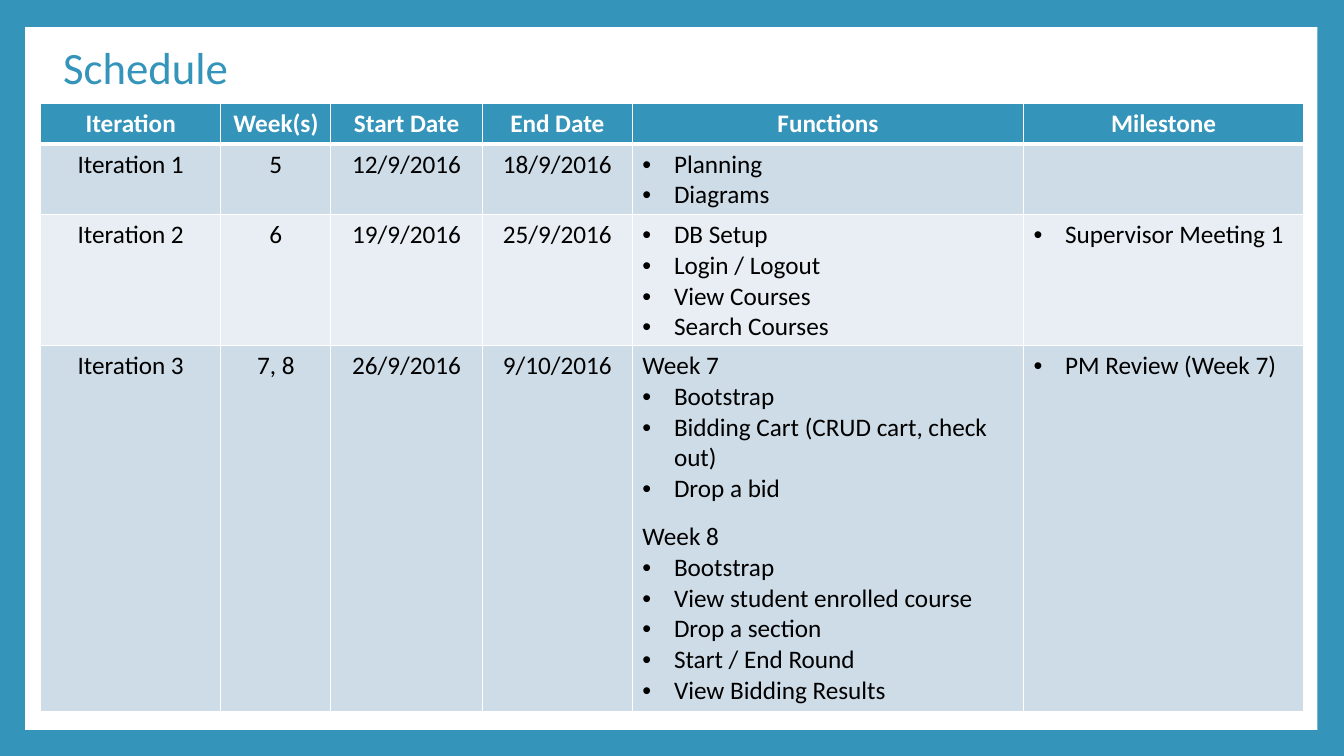
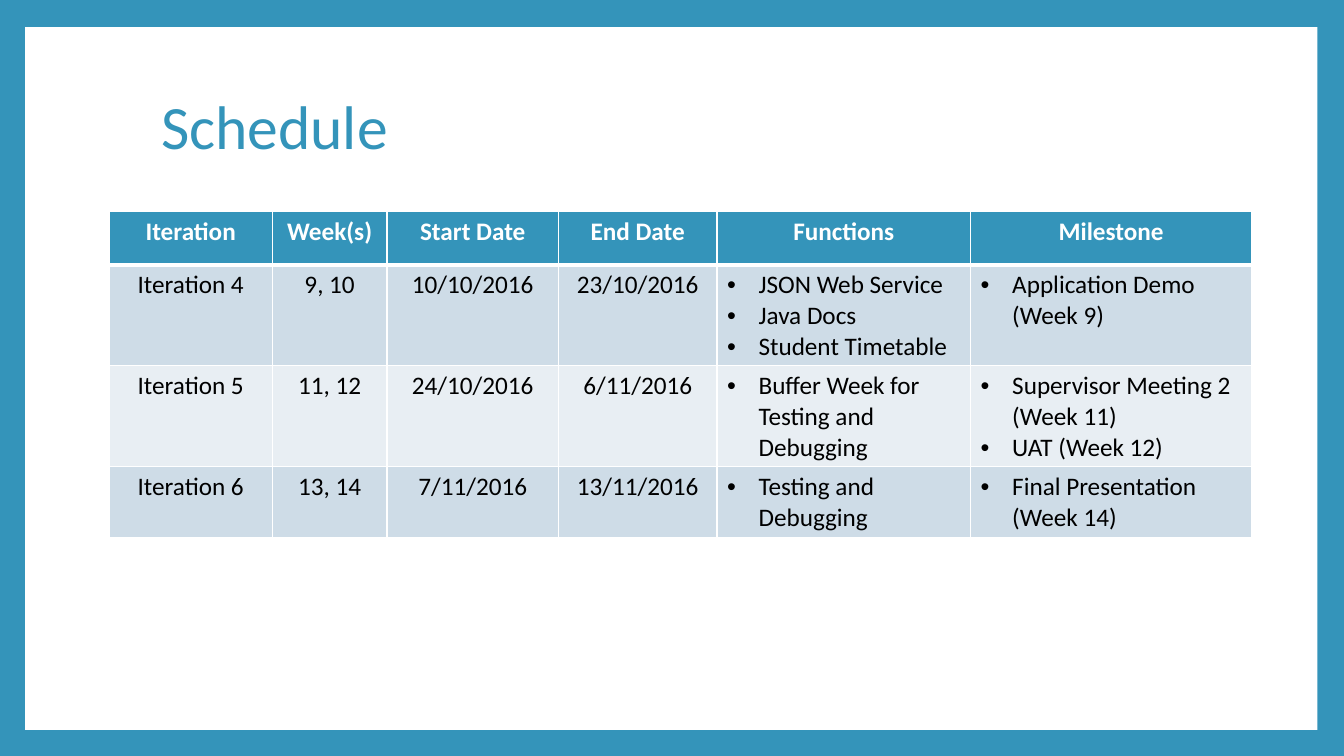
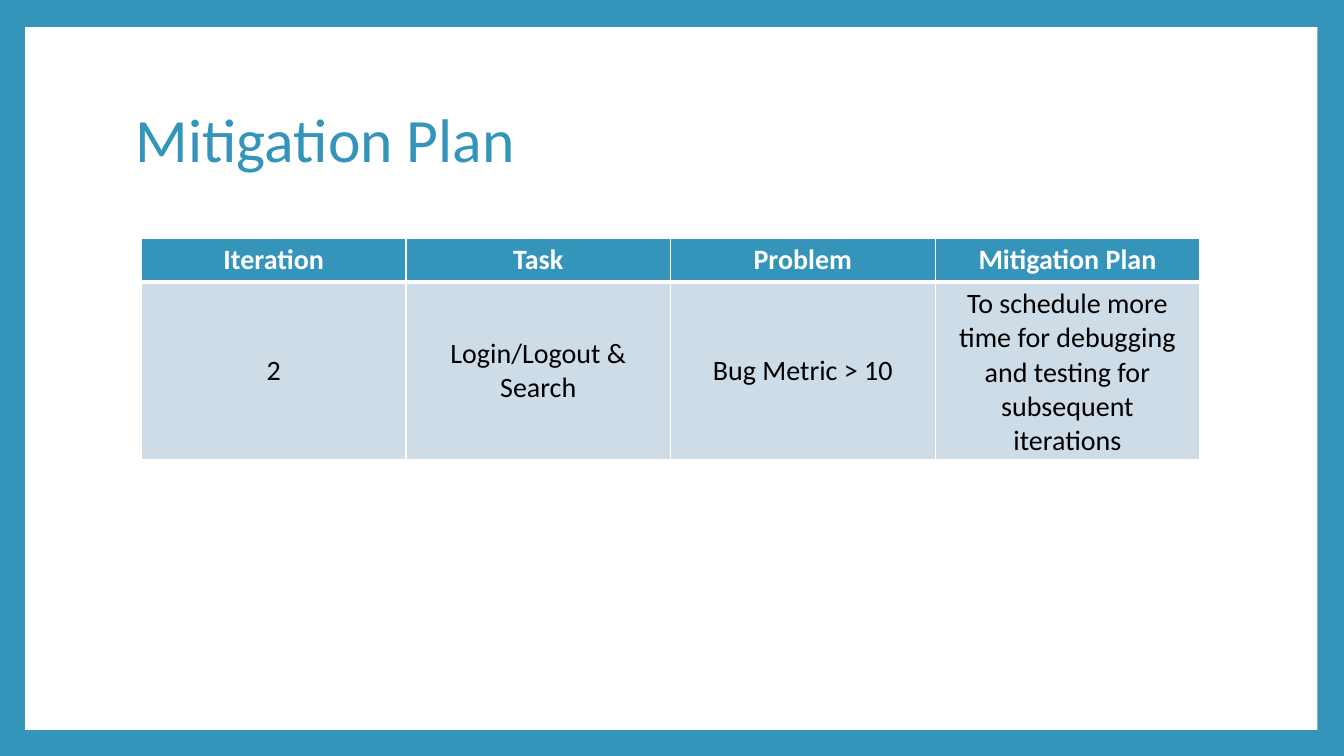
from dataclasses import dataclass

from lxml.etree import SubElement
from pptx import Presentation
from pptx.dml.color import RGBColor
from pptx.enum.shapes import MSO_SHAPE
from pptx.enum.text import MSO_ANCHOR, PP_ALIGN
from pptx.oxml.ns import qn
from pptx.util import Pt


@dataclass(frozen=True)
class Theme:
    font: str = "Calibri"
    blue: str = "3494BA"
    white: str = "FFFFFF"
    black: str = "000000"
    bands: tuple = ("CEDCE7", "E8EEF3")
    small: int = 32
    large: int = 44
    body: int = 18
    roomy: int = 20
    thin: int = 1
    thick: int = 3
    indent: float = 22.5
    gap: float = 12.2


THEME = Theme()
HEADS = ["Iteration", "Week(s)", "Start Date", "End Date", "Functions", "Milestone"]

# Cells: a string is centred, a list is bulleted, a dict maps headings to bullets.
EARLY = [
    HEADS,
    ["Iteration 1", "5", "12/9/2016", "18/9/2016", ["Planning", "Diagrams"], ""],
    ["Iteration 2", "6", "19/9/2016", "25/9/2016",
     ["DB Setup", "Login / Logout", "View Courses", "Search Courses"],
     ["Supervisor Meeting 1"]],
    ["Iteration 3", "7, 8", "26/9/2016", "9/10/2016",
     {"Week 7": ["Bootstrap", "Bidding Cart (CRUD cart, check out)", "Drop a bid"],
      "Week 8": ["Bootstrap", "View student enrolled course", "Drop a section",
                 "Start / End Round", "View Bidding Results"]},
     ["PM Review (Week 7)"]],
]
LATE = [
    HEADS,
    ["Iteration 4", "9, 10", "10/10/2016", "23/10/2016",
     ["JSON Web Service", "Java Docs", "Student Timetable"],
     ["Application Demo (Week 9)"]],
    ["Iteration 5", "11, 12", "24/10/2016", "6/11/2016",
     ["Buffer Week for Testing and Debugging"],
     ["Supervisor Meeting 2 (Week 11)", "UAT (Week 12)"]],
    ["Iteration 6", "13, 14", "7/11/2016", "13/11/2016",
     ["Testing and Debugging"], ["Final Presentation (Week 14)"]],
]
PLAN = [
    ["Iteration", "Task", "Problem", "Mitigation Plan"],
    ["2", "Login/Logout & Search", "Bug Metric > 10",
     "To schedule more time for debugging and testing for subsequent iterations"],
]


def rgb(code):
    return RGBColor.from_string(code)


def style(para, size, color, bold=False):
    font = para.font
    font.name, font.size, font.bold = THEME.font, Pt(size), bold
    font.color.rgb = rgb(color)


def add_slide(deck):
    """Add a blank slide with the white panel inside the blue frame."""
    slide = deck.slides.add_slide(deck.slide_layouts[6])
    panel = slide.shapes.add_shape(
        MSO_SHAPE.RECTANGLE, Pt(18), Pt(19.4), Pt(923), Pt(502))
    panel.shadow.inherit = False
    panel.fill.solid()
    panel.fill.fore_color.rgb = rgb(THEME.white)
    panel.line.fill.background()
    return slide


def add_title(slide, text, box, size):
    frame = slide.shapes.add_textbox(*map(Pt, box)).text_frame
    frame.word_wrap = True
    frame.vertical_anchor = MSO_ANCHOR.MIDDLE
    para = frame.paragraphs[0]
    para.text = text
    para.line_spacing = 0.9
    style(para, size, THEME.blue)


def add_bullet(para):
    props = para._p.get_or_add_pPr()
    props.set("marL", str(Pt(THEME.indent)))
    props.set("indent", str(-Pt(THEME.indent)))
    SubElement(props, qn("a:buFont"), typeface="Arial")
    SubElement(props, qn("a:buChar"), char="•")


def set_edges(cell, row):
    """Draw white cell borders, with a thick rule under the header."""
    widths = dict.fromkeys("LRTB", THEME.thin)
    if row < 2:
        widths["T" if row else "B"] = THEME.thick
    props = cell._tc.get_or_add_tcPr()
    for side, width in widths.items():
        line = SubElement(props, qn(f"a:ln{side}"), w=str(Pt(width)))
        fill = SubElement(line, qn("a:solidFill"))
        SubElement(fill, qn("a:srgbClr"), val=THEME.white)


def list_lines(value):
    """Return (text, kind) pairs for the paragraphs of one cell."""
    if isinstance(value, str):
        return [(value, "plain")]
    if isinstance(value, list):
        return [(item, "bullet") for item in value]
    lines = []
    for head, items in value.items():
        lines += [(head, "head"), *list_lines(items)]
    return lines


def fill_cell(cell, value, row, size, anchor):
    set_edges(cell, row)
    cell.fill.solid()
    shade = THEME.bands[(row - 1) % 2] if row else THEME.blue
    cell.fill.fore_color.rgb = rgb(shade)
    cell.vertical_anchor = anchor
    frame = cell.text_frame
    for i, (text, kind) in enumerate(list_lines(value)):
        para = frame.add_paragraph() if i else frame.paragraphs[0]
        para.text = text
        if kind == "plain":
            para.alignment = PP_ALIGN.CENTER
        elif kind == "bullet":
            add_bullet(para)
        elif i:
            para.space_before = Pt(THEME.gap)
        style(para, size, THEME.black if row else THEME.white, bold=not row)


def add_grid(slide, data, left, top, widths, heights,
             size=THEME.body, anchor=MSO_ANCHOR.TOP):
    table = slide.shapes.add_table(
        len(data), len(widths), Pt(left), Pt(top),
        Pt(sum(widths)), Pt(sum(heights))).table
    table.horz_banding = False
    for col, width in zip(table.columns, widths):
        col.width = Pt(width)
    for r, (line, height) in enumerate(zip(data, heights)):
        table.rows[r].height = Pt(height)
        for c, value in enumerate(line):
            fill_cell(table.cell(r, c), value, r, size, anchor)


def main():
    deck = Presentation()
    deck.slide_width, deck.slide_height = Pt(960), Pt(540)
    back = deck.slide_master.background.fill
    back.solid()
    back.fore_color.rgb = rgb(THEME.blue)

    slide = add_slide(deck)
    add_title(slide, "Schedule", (38, -8, 756, 116.6), THEME.small)
    add_grid(slide, EARLY, 29, 74, [128.8, 78.6, 108.2, 107.2, 279.4, 200.2],
             [27.4, 47.5, 88.6, 261.4])

    slide = add_slide(deck)
    add_title(slide, "Schedule", (108, 34, 756, 116.6), THEME.large)
    add_grid(slide, LATE, 78, 151, [116.5, 82, 122.5, 113.2, 181.2, 200.8],
             [38.2] * 4)

    slide = add_slide(deck)
    add_title(slide, "Mitigation Plan", (90, 48.2, 777.6, 106.6), THEME.large)
    add_grid(slide, PLAN, 101, 170, [189] * 4, [29.5] * 2,
             THEME.roomy, MSO_ANCHOR.MIDDLE)

    deck.save("out.pptx")


if __name__ == "__main__":
    main()
